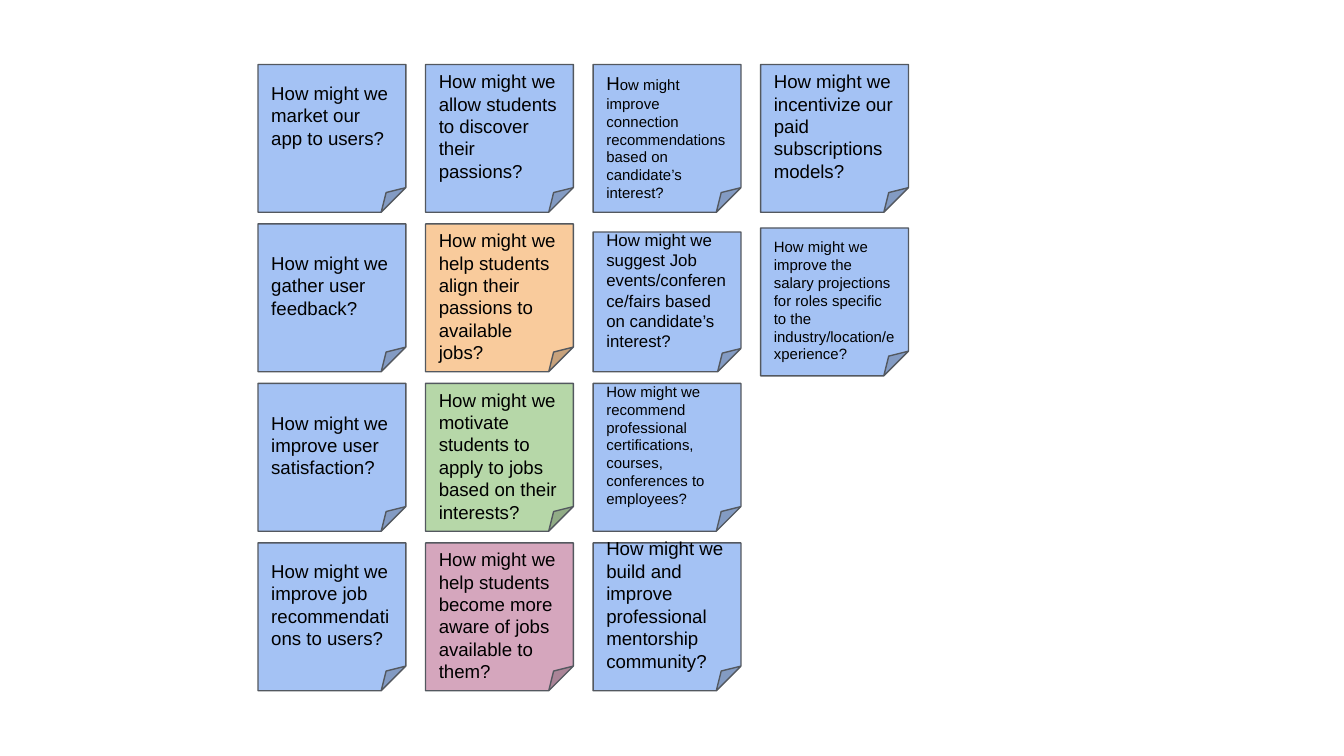
"""Build a wall of sticky notes with "How might we" questions."""
import dataclasses

import pptx
import pptx.dml.color
import pptx.enum.shapes
import pptx.enum.text
import pptx.slide
import pptx.util

Inches, Pt = pptx.util.Inches, pptx.util.Pt
RGBColor = pptx.dml.color.RGBColor

BLUE = RGBColor(0xA4, 0xC2, 0xF4)
ORANGE = RGBColor(0xF9, 0xCB, 0x9C)
GREEN = RGBColor(0xB6, 0xD7, 0xA8)
PINK = RGBColor(0xD5, 0xA6, 0xBD)
OUTLINE = RGBColor(0x53, 0x58, 0x5F)
BLACK = RGBColor(0, 0, 0)

SLIDE_WIDTH = 10
SLIDE_HEIGHT = SLIDE_WIDTH * 9 / 16
LEFT, TOP, SIDE = 1.92, 0.48, 1.1
LAST_LEFT, LAST_TOP = 5.66, 4.04
COL_STEP, ROW_STEP = (LAST_LEFT - LEFT) / 3, (LAST_TOP - TOP) / 3
INSET, HALF_LINE = 0.1, 0.08


@dataclasses.dataclass(frozen=True)
class Note:
    """A sticky note; text_shift counts half lines downwards."""
    text: str
    size: int = 10
    fill: RGBColor = BLUE
    text_shift: int = 0
    drop: float = 0
    height: float = SIDE
    initial_size: int = 0


COLUMNS: list[list[Note]] = [
    [
        Note("How might we market our app to users?", text_shift=-1),
        Note("How might we gather user feedback?"),
        Note("How might we improve user satisfaction?"),
        Note("How might we improve job recommendations to users?"),
    ],
    [
        Note("How might we allow students to discover their passions?"),
        Note("How might we help students align their passions to available jobs?",
             fill=ORANGE, text_shift=1),
        Note("How might we motivate students to apply to jobs based on their interests?",
             fill=GREEN, text_shift=1),
        Note("How might we help students become more aware of jobs available to them?",
             fill=PINK, text_shift=1),
    ],
    [
        Note("How might improve connection recommendations based on candidate’s interest?",
             size=8, text_shift=1, initial_size=10),
        Note("How might we suggest Job events/conference/fairs based on candidate’s interest?",
             size=9, drop=0.06, height=1.04),
        Note("How might we recommend professional certifications, courses, "
             "conferences to employees?", size=8),
        Note("How might we build and improve professional mentorship community?"),
    ],
    [
        Note("How might we incentivize our paid subscriptions models?"),
        Note("How might we improve the salary projections for roles specific to the "
             "industry/location/experience?", size=8, text_shift=1, drop=0.03),
    ],
]


def add_note(s: pptx.slide.Slide, note: Note, col: int, row: int) -> None:
    """Draw one note in its grid cell."""
    sp = s.shapes.add_shape(
        pptx.enum.shapes.MSO_SHAPE.FOLDED_CORNER,
        Inches(LEFT + col * COL_STEP), Inches(TOP + row * ROW_STEP + note.drop),
        Inches(SIDE), Inches(note.height))
    sp.shadow.inherit = False
    sp.fill.solid()
    sp.fill.fore_color.rgb = note.fill
    sp.line.color.rgb = OUTLINE
    sp.line.width = Pt(0.75)

    tf = sp.text_frame
    tf.word_wrap = True
    tf.vertical_anchor = pptx.enum.text.MSO_ANCHOR.MIDDLE
    tf.margin_left = tf.margin_right = Inches(INSET)
    shift = note.text_shift * HALF_LINE
    tf.margin_top, tf.margin_bottom = Inches(INSET + shift), Inches(INSET - shift)

    p = tf.paragraphs[0]
    p.alignment = pptx.enum.text.PP_ALIGN.LEFT
    p.font.name = "Arial"
    p.font.size = Pt(note.size)
    p.font.color.rgb = BLACK
    text = note.text
    if note.initial_size:
        r = p.add_run()
        r.text, text = text[0], text[1:]
        r.font.size = Pt(note.initial_size)
    p.add_run().text = text


def main() -> None:
    """Create the slide and save it."""
    prs = pptx.Presentation()
    prs.slide_width, prs.slide_height = Inches(SLIDE_WIDTH), Inches(SLIDE_HEIGHT)
    s = prs.slides.add_slide(prs.slide_layouts[6])
    for col, notes in enumerate(COLUMNS):
        for row, note in enumerate(notes):
            add_note(s, note, col, row)
    prs.save("out.pptx")


main()
